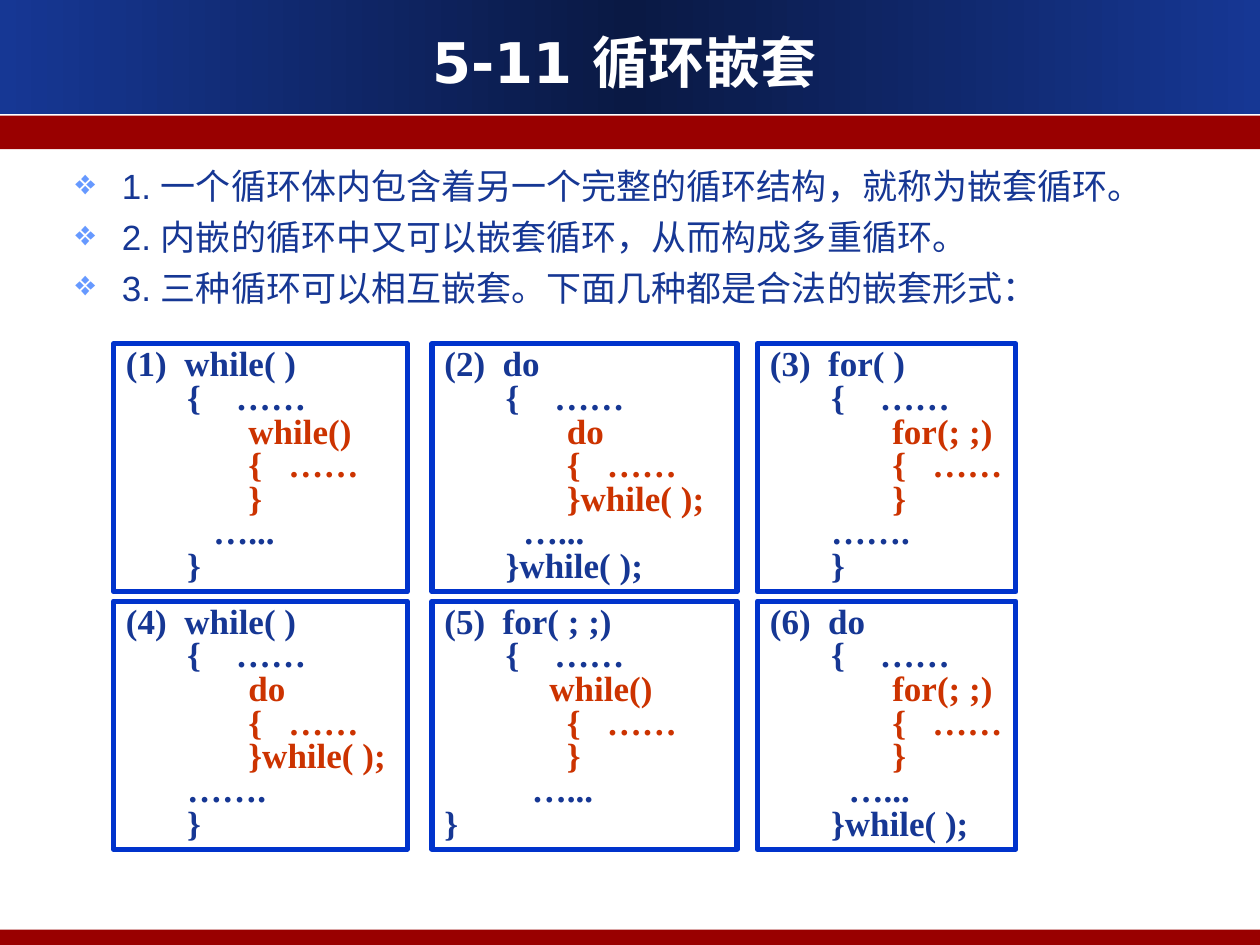
from copy import deepcopy
from dataclasses import dataclass

from lxml import etree
from pptx import Presentation
from pptx import util as u
from pptx.dml.color import RGBColor
from pptx.enum import shapes, text
from pptx.oxml import ns


@dataclass(frozen=True)
class Theme:
    white: str = "FFFFFF"
    navy: str = "163794"
    dark_navy: str = "0A1944"
    red: str = "990000"
    bullet: str = "6699FF"
    border: str = "0033CC"
    inner_loop: str = "CC3300"
    title_size: int = 32
    text_size: int = 20
    title_font: str = "DejaVu Sans"
    body_font: str = "Arial"
    code_font: str = "Times New Roman"


theme = Theme()


def write(frame, content, *, font, size, color, bold=False, align=text.PP_ALIGN.LEFT,
          line_spacing=None, space_before=0, bullet=None):
    paragraph = frame.add_paragraph() if frame.text else frame.paragraphs[0]
    if bullet:
        properties = paragraph._p.get_or_add_pPr()
        properties.set("marL", str(u.Cm(0.94)))
        properties.set("indent", str(u.Cm(-0.94)))
        bullet_color = etree.SubElement(properties, ns.qn("a:buClr"))
        etree.SubElement(bullet_color, ns.qn("a:srgbClr"), val=theme.bullet)
        etree.SubElement(properties, ns.qn("a:buChar"), char=bullet)
    paragraph.alignment = align
    paragraph.space_before = u.Pt(space_before)
    if line_spacing:
        paragraph.line_spacing = line_spacing
    run = paragraph.add_run()
    run.text = content
    run.font.name = font
    run.font.size = u.Pt(size)
    run.font.bold = bold
    run.font.color.rgb = RGBColor.from_string(color)


def add_box(slide, left, top, width, height, fill, border=None):
    shape = slide.shapes.add_shape(shapes.MSO_SHAPE.RECTANGLE, u.Cm(left), u.Cm(top),
                                   u.Cm(width), u.Cm(height))
    shape.shadow.inherit = False
    shape.fill.solid()
    shape.fill.fore_color.rgb = RGBColor.from_string(fill)
    if border:
        shape.line.color.rgb = RGBColor.from_string(border)
        shape.line.width = u.Pt(3)
    else:
        shape.line.fill.background()
    return shape


presentation = Presentation()
presentation.slide_width = u.Cm(25.4)
presentation.slide_height = u.Cm(19.05)
slide = presentation.slides.add_slide(presentation.slide_layouts[5])

header = add_box(slide, 0, 0, 25.4, 2.31, theme.navy)
header.fill.gradient()
header.fill.gradient_angle = 0
first_stop, last_stop = header.fill.gradient_stops
for stop, position in ((first_stop, 0), (last_stop, 1)):
    stop.color.rgb = RGBColor.from_string(theme.navy)
    stop.position = position
first_element = header.element.find(".//" + ns.qn("a:gs"))
first_element.addnext(deepcopy(first_element))
middle_stop = header.fill.gradient_stops[1]
middle_stop.color.rgb = RGBColor.from_string(theme.dark_navy)
middle_stop.position = 0.5

add_box(slide, 0, 2.33, 25.4, 0.68, theme.red)
add_box(slide, 0, 18.74, 25.4, 0.31, theme.red)

title = slide.shapes.title
slide.shapes.element.append(title.element)
title.left, title.top, title.width, title.height = u.Cm(0.84), u.Cm(0.41), u.Cm(23.5), u.Cm(1.63)
title.text_frame.auto_size = text.MSO_AUTO_SIZE.NONE
title.text_frame.vertical_anchor = text.MSO_ANCHOR.MIDDLE
write(title.text_frame, "5-11 循环嵌套", font=theme.title_font, size=theme.title_size,
      color=theme.white, bold=True, align=text.PP_ALIGN.CENTER)

body = slide.shapes.add_textbox(u.Cm(1.27), u.Cm(3.2), u.Cm(22.86), u.Cm(14.58))
body.text_frame.word_wrap = True
points = [
    "1. 一个循环体内包含着另一个完整的循环结构，就称为嵌套循环。",
    "2. 内嵌的循环中又可以嵌套循环，从而构成多重循环。",
    "3. 三种循环可以相互嵌套。下面几种都是合法的嵌套形式：",
]
for index, point in enumerate(points):
    write(body.text_frame, point, font=theme.body_font, size=theme.text_size,
          color=theme.navy, space_before=5 if index else 0, bullet="❖")

columns = [(2.29, 5.92, True), (8.71, 6.15, True), (15.27, 5.21, False)]
row_tops = [6.93, 12.12]
outer_open = "       {    ……"
inner_open = "              {   ……"
inner_close = "              }"
examples = [
    ["(1)  while( )", "              while()", inner_close, "          …...", "       }"],
    ["(2)  do", "              do", inner_close + "while( );", "         …...", "       }while( );"],
    ["(3)  for( )", "              for(; ;)", inner_close, "       …….", "       }"],
    ["(4)  while( )", "              do", inner_close + "while( );", "       …….", "       }"],
    ["(5)  for( ; ;)", "            while()", inner_close, "          …...", "}"],
    ["(6)  do", "              for(; ;)", inner_close, "         …...", "       }while( );"],
]
for index, (heading, inner_head, inner_end, rest, outer_end) in enumerate(examples):
    row, column = divmod(index, len(columns))
    left, width, wrap = columns[column]
    box = add_box(slide, left, row_tops[row], width, 5, theme.white, theme.border)
    frame = box.text_frame
    frame.word_wrap = wrap
    frame.auto_size = text.MSO_AUTO_SIZE.SHAPE_TO_FIT_TEXT
    frame.vertical_anchor = text.MSO_ANCHOR.TOP
    lines = [heading, outer_open, inner_head, inner_open, inner_end, rest, outer_end]
    for number, line in enumerate(lines):
        write(frame, line, font=theme.code_font, size=theme.text_size, bold=True,
              color=theme.inner_loop if 2 <= number <= 4 else theme.navy, line_spacing=0.8)

presentation.save("out.pptx")
